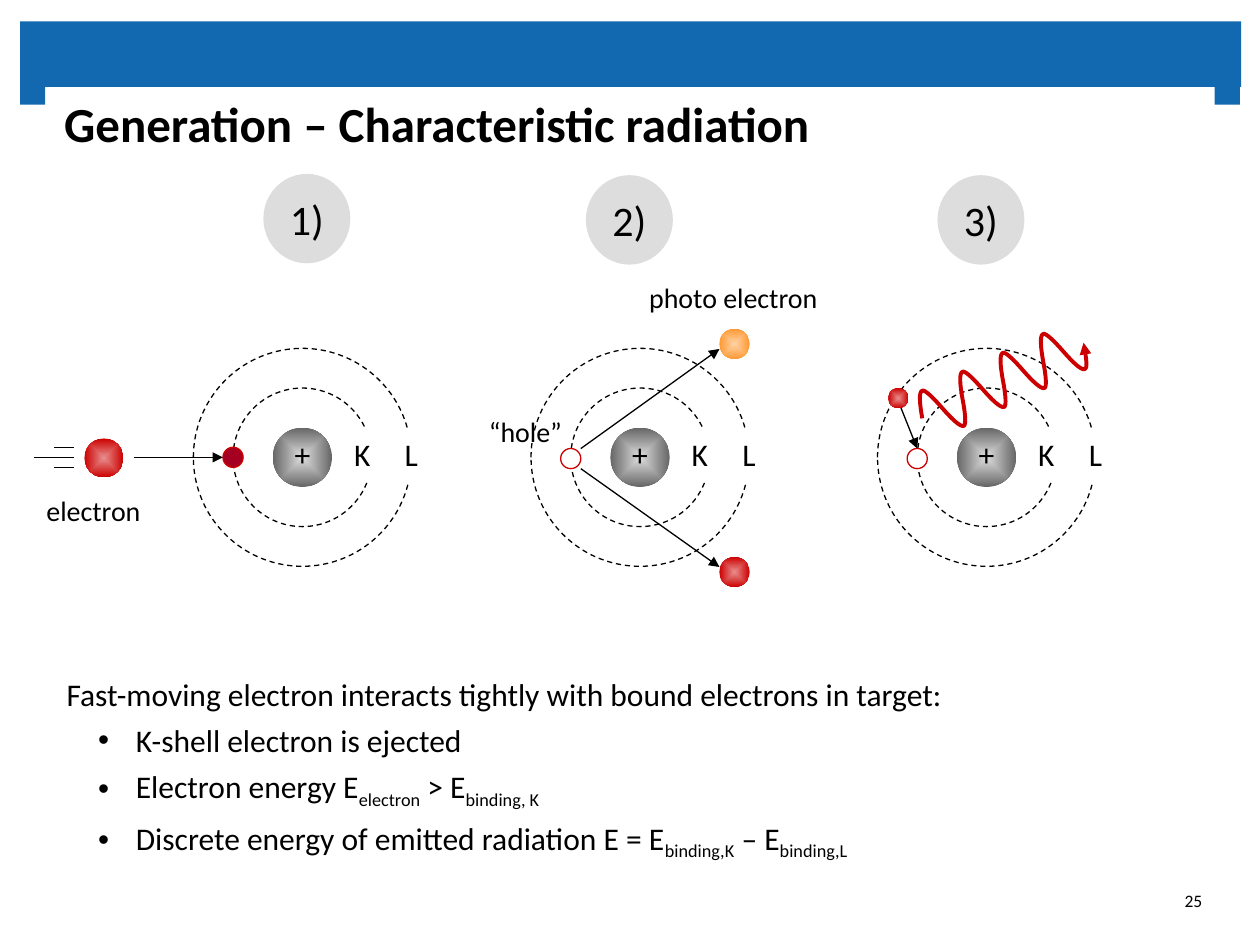
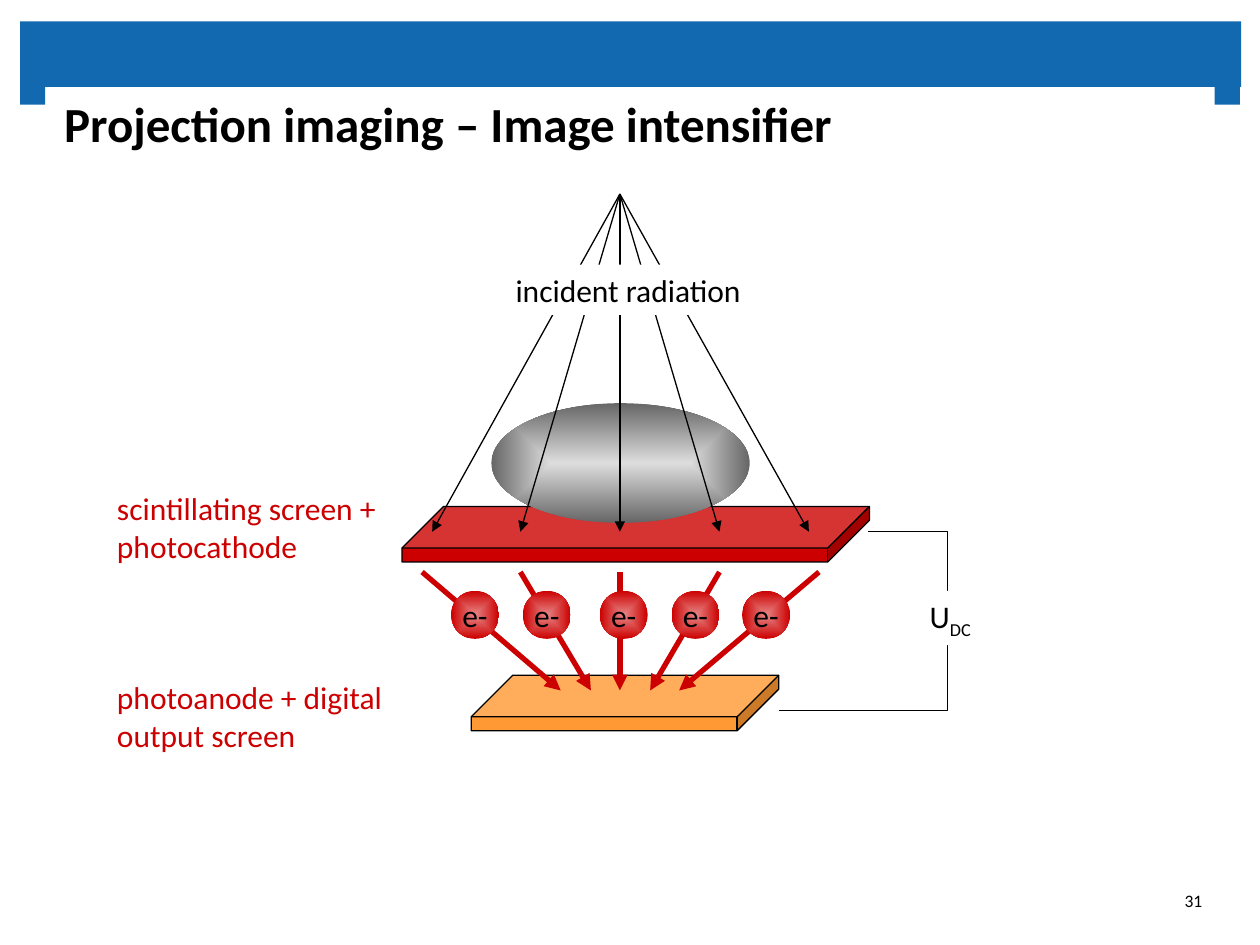
from lxml.etree import SubElement
from pptx import Presentation
from pptx.dml.color import RGBColor
from pptx.enum.dml import MSO_LINE
from pptx.enum.shapes import MSO_CONNECTOR, MSO_SHAPE
from pptx.enum.text import MSO_ANCHOR, PP_ALIGN
from pptx.oxml.ns import qn
from pptx.util import Inches, Pt

BLUE, BLACK, WHITE, RED, ORANGE = "1269B0", "000000", "FFFFFF", "CC0000", "FF9933"
GREY_BALL, RED_BALL, ORANGE_BALL = ("DDDDDD", "666666"), ("E88E8E", RED), ("FFD2A5", ORANGE)
FONT = "Calibri"
RECT, OVAL, CUBE = MSO_SHAPE.RECTANGLE, MSO_SHAPE.OVAL, MSO_SHAPE.CUBE
LEFT, CENTER, RIGHT = PP_ALIGN.LEFT, PP_ALIGN.CENTER, PP_ALIGN.RIGHT


def add_box(s, kind, x, y, w, h, fill=None, line=None, text="", size=18,
            color=BLACK, align=CENTER, anchor=MSO_ANCHOR.TOP, inset=None):
    """Add a shape, or a text box if kind is None.

    A pair of colours as fill gives a centred gradient; text between bars is subscript.
    """
    box = [Inches(v) for v in (x, y, w, h)]
    if kind is None:
        sp = s.shapes.add_textbox(*box)
    else:
        sp = s.shapes.add_shape(kind, *box)
        sp.shadow.inherit = False
        if fill is None:
            sp.fill.background()
        elif isinstance(fill, tuple):
            sp.fill.gradient()
            for stop, position, stop_color in zip(sp.fill.gradient_stops, (0, 1), fill):
                stop.position = position
                stop.color.rgb = RGBColor.from_string(stop_color)
            grad = sp._element.spPr.find(qn("a:gradFill"))
            grad.remove(grad.find(qn("a:lin")))
            centre = SubElement(grad, qn("a:path"), path="shape")
            SubElement(centre, qn("a:fillToRect"), l="50000", t="50000", r="50000", b="50000")
        else:
            sp.fill.solid()
            sp.fill.fore_color.rgb = RGBColor.from_string(fill)
        if line:
            sp.line.color.rgb = RGBColor.from_string(line)
            sp.line.width = Pt(0.75)
        else:
            sp.line.fill.background()
    if text:
        tf = sp.text_frame
        tf.word_wrap = True
        tf.vertical_anchor = anchor
        if inset is not None:
            tf.margin_left = tf.margin_right = tf.margin_top = tf.margin_bottom = Inches(inset)
        for i, content in enumerate(text.split("\n")):
            p = tf.add_paragraph() if i else tf.paragraphs[0]
            p.alignment = align
            for j, part in enumerate(content.split("|")):
                if part:
                    r = p.add_run()
                    r.text = part
                    r.font.name, r.font.size = FONT, Pt(size)
                    r.font.color.rgb = RGBColor.from_string(color)
                    if j % 2:
                        r._r.get_or_add_rPr().set("baseline", "-25000")
    return sp


def add_line(s, x1, y1, x2, y2, color=BLACK, width=0.75, arrow=True):
    line = s.shapes.add_connector(MSO_CONNECTOR.STRAIGHT, *[Inches(v) for v in (x1, y1, x2, y2)])
    line.line.color.rgb = RGBColor.from_string(color)
    line.line.width = Pt(width)
    if arrow:
        SubElement(line.line._get_or_add_ln(), qn("a:tailEnd"), type="triangle")
    SubElement(line._element.spPr, qn("a:effectLst"))


prs = Presentation()
prs.slide_width, prs.slide_height = Inches(10), Inches(7.5)

# Shared frame: bands, title and page number
for title, page in (("Generation – Characteristic radiation", "25"),
                    ("Projection imaging – Image intensifier", "31")):
    s = prs.slides.add_slide(prs.slide_layouts[5])
    for x, y, w, h in ((0.16, 0.17, 9.69, 0.52), (0.16, 0.65, 0.2, 0.18), (9.64, 0.65, 0.2, 0.18)):
        add_box(s, RECT, x, y, w, h, BLUE)
    sp = s.shapes.title
    sp.left, sp.top, sp.width, sp.height = [Inches(v) for v in (0.35, 0.68, 9.29, 0.64)]
    tf = sp.text_frame
    tf.text = title
    tf.margin_left = tf.margin_right = Inches(0.16)
    tf.margin_top, tf.margin_bottom = Inches(0.06), 0
    tf.vertical_anchor = MSO_ANCHOR.TOP
    p = tf.paragraphs[0]
    p.alignment = LEFT
    font = p.runs[0].font
    font.name, font.size, font.bold = FONT, Pt(28), True
    font.color.rgb = RGBColor.from_string(BLACK)
    add_box(s, None, 7.39, 6.95, 2.25, 0.4, text=page, size=10, align=RIGHT,
            anchor=MSO_ANCHOR.MIDDLE)

radiation, intensifier = prs.slides

# Slide 1: three steps, each with an atom
s = radiation
atom_y = 3.63
for step, (atom_x, step_x, step_y) in enumerate(
        ((2.4, 2.09, 1.38), (5.08, 4.65, 1.39), (7.83, 7.44, 1.39)), 1):
    add_box(s, OVAL, atom_x - 0.235, atom_y - 0.235, 0.47, 0.47, GREY_BALL)
    for diameter in (1.1, 1.73):
        shell = add_box(s, OVAL, atom_x - diameter / 2, atom_y - diameter / 2,
                        diameter, diameter, line=BLACK)
        shell.line.dash_style = MSO_LINE.DASH
    add_box(s, None, atom_x - 0.55, 3.4, 1.1, 0.43, text="+")
    for label, offset in (("K", 0.24), ("L", 0.63)):
        add_box(s, RECT, atom_x + offset, 3.4, 0.47, 0.43, WHITE, text=label)
    add_box(s, OVAL, step_x, step_y, 0.69, 0.71, "DDDDDD", text=f"{step})", size=24)

# Step 1: incoming electron
add_box(s, OVAL, 0.67, 3.48, 0.31, 0.31, RED_BALL)
for x, y in ((0.43, 3.55), (0.27, 3.63), (0.43, 3.71)):
    add_line(s, x, y, 0.59, y, arrow=False)
add_box(s, OVAL, 1.77, 3.55, 0.16, 0.16, "A50021", RED)
add_line(s, 1.06, atom_y, 1.77, atom_y)
add_box(s, None, 0.27, 3.87, 2.28, 0.37, text="electron", size=16, align=LEFT)

# Step 2: photo electron and hole
add_box(s, OVAL, 4.45, 3.56, 0.16, 0.16, WHITE, RED)
add_line(s, 4.61, 3.56, 5.71, 2.77)
add_line(s, 4.61, 3.72, 5.71, 4.5)
add_box(s, OVAL, 5.71, 4.42, 0.24, 0.24, RED_BALL)
add_box(s, OVAL, 5.71, 2.61, 0.24, 0.24, ORANGE_BALL)
add_box(s, None, 4.68, 2.18, 2.28, 0.37, text="photo electron", size=16)
add_box(s, None, 3.03, 3.24, 2.28, 0.37, text="“hole”", size=16)

# Step 3: electron drops and a wave is emitted
add_box(s, OVAL, 7.2, 3.56, 0.16, 0.16, WHITE, RED)
add_line(s, 7.12, 3.16, 7.28, 3.56)
add_box(s, OVAL, 7.05, 3.08, 0.16, 0.16, RED_BALL)

wave_x, wave_y = 7.32, 3.32
period = ((-0.02, -0.11), (-0.03, -0.21), (0, -0.22), (0.02, -0.23), (0.09, -0.16), (0.16, -0.08),
          (0.23, 0), (0.3, 0.07), (0.33, 0.06), (0.35, 0.05), (0.34, -0.05), (0.32, -0.15))
controls = [(Inches(wave_x + 0.32 * n + dx), Inches(wave_y - 0.15 * n + dy))
            for n in range(4) for dx, dy in period]
builder = s.shapes.build_freeform(Inches(wave_x), Inches(wave_y))
builder.add_line_segments(controls, close=False)
wave = builder.convert_to_shape()
wave.shadow.inherit = False
wave.fill.background()
wave.line.color.rgb = RGBColor.from_string(RED)
wave.line.width = Pt(2.25)
SubElement(wave.line._get_or_add_ln(), qn("a:tailEnd"), type="triangle")
# Every three points become one Bézier curve
outline = wave._element.find(".//" + qn("a:path"))
segments = outline.findall(qn("a:lnTo"))
for i in range(0, len(segments), 3):
    curve = SubElement(outline, qn("a:cubicBezTo"))
    for segment in segments[i:i + 3]:
        curve.append(segment[0])
        outline.remove(segment)

body = add_box(s, None, 0.43, 5.25, 9.21, 1.58, align=LEFT, text=(
    "Fast-moving electron interacts tightly with bound electrons in target:\n"
    "K-shell electron is ejected\n"
    "Electron energy E|electron| > E|binding, K|\n"
    "Discrete energy of emitted radiation E = E|binding,K| – E|binding,L|"))
for i, p in enumerate(body.text_frame.paragraphs):
    p.line_spacing = 1.2
    if i:
        p.level = 1
        pPr = p._p.get_or_add_pPr()
        pPr.set("marL", str(Inches(0.55)))
        pPr.set("indent", str(Inches(-0.3)))
        SubElement(pPr, qn("a:buFont"), typeface="Arial")
        SubElement(pPr, qn("a:buChar"), char="•")

# Slide 2: screens, object, rays and electrons
s = intensifier
for x, y, w, color in ((3.74, 5.36, 2.44, ORANGE), (3.19, 4.02, 3.71, RED)):
    screen = add_box(s, CUBE, x, y, w, 0.44, color, BLACK)
    screen.adjustments[0] = 0.749
add_box(s, OVAL, 3.9, 3.2, 2.05, 0.95, GREY_BALL)

source_x = 4.92
for x in (3.43, 4.13, source_x, 5.71, 6.42):
    add_line(s, source_x, 1.54, x, 4.22)
add_box(s, RECT, 3.74, 2.1, 2.49, 0.4, WHITE, text="incident radiation")

for start_x, end_x in ((3.35, 4.45), (4.13, 4.69), (source_x, source_x), (5.71, 5.16), (6.5, 5.39)):
    add_line(s, start_x, 4.54, end_x, 5.48, RED, 3)
for x in (3.58, 4.15, 4.76, 5.33, 5.89):
    add_box(s, OVAL, x, 4.69, 0.38, 0.38, ("E78686", RED), text="e-",
            anchor=MSO_ANCHOR.MIDDLE, inset=0)

for y, text in ((3.83, "scintillating screen +\nphotocathode"),
                (5.33, "photoanode + digital\noutput screen")):
    add_box(s, None, 0.83, y, 2.49, 0.7, text=text, color=RED, align=LEFT)

builder = s.shapes.build_freeform(Inches(6.89), Inches(4.22))
builder.add_line_segments([(Inches(x), Inches(y)) for x, y in
                           ((7.52, 4.22), (7.52, 5.64), (6.18, 5.64))], close=False)
circuit = builder.convert_to_shape()
circuit.shadow.inherit = False
circuit.fill.background()
circuit.line.color.rgb = RGBColor.from_string(BLACK)
circuit.line.width = Pt(0.75)
add_box(s, RECT, 7.28, 4.69, 0.62, 0.43, WHITE, text="U|DC|", align=LEFT)

prs.save("out.pptx")
